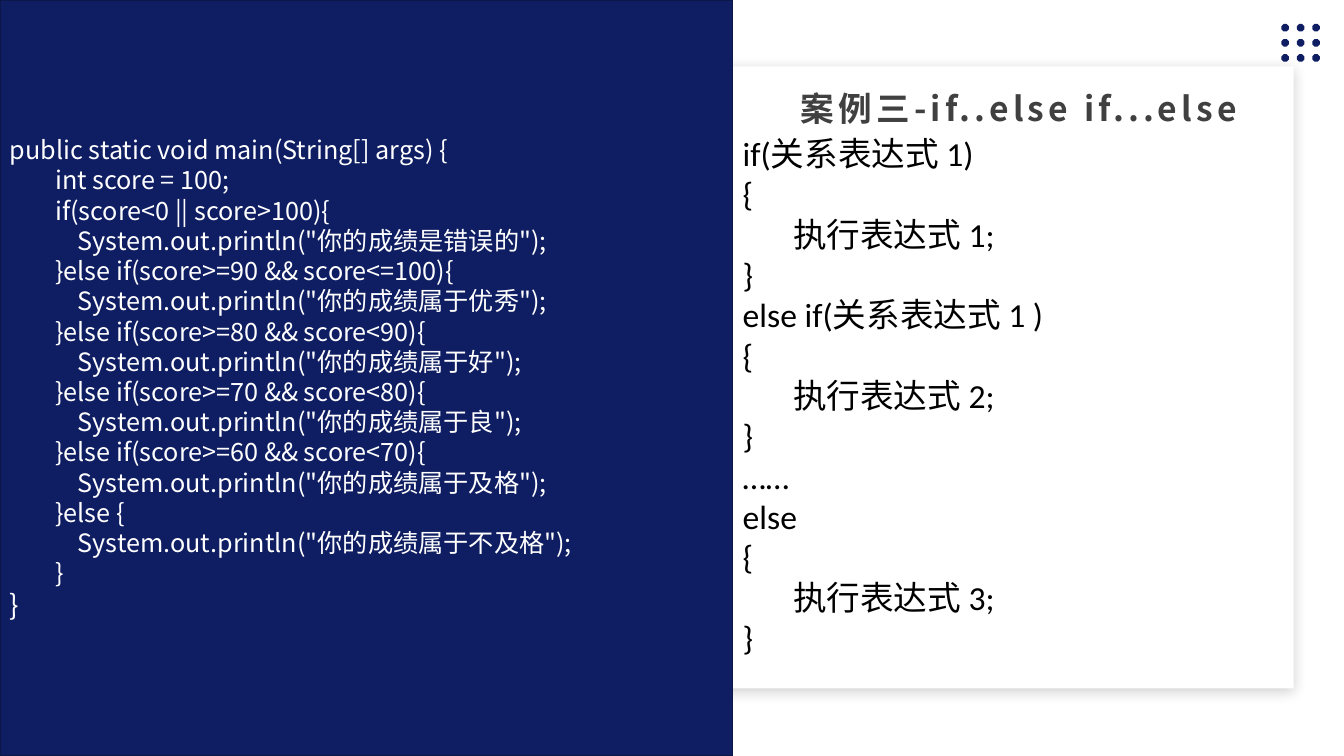
import itertools
import math

import lxml.etree
import pptx
import pptx.dml.color
import pptx.enum.shapes
import pptx.enum.text
import pptx.oxml
import pptx.oxml.ns
import pptx.util

NAVY = pptx.dml.color.RGBColor(0x0F, 0x1E, 0x62)
NAVY_EDGE = pptx.dml.color.RGBColor(0x0B, 0x16, 0x49)
SHADOW = pptx.dml.color.RGBColor(0x0D, 0x0D, 0x0D)
CHARCOAL = pptx.dml.color.RGBColor(0x40, 0x40, 0x40)
BLACK = pptx.dml.color.RGBColor(0, 0, 0)
WHITE = pptx.dml.color.RGBColor(0xFF, 0xFF, 0xFF)

CJK_FONT = "Noto Sans CJK SC"
LATIN_FONT = "Calibri"
COLUMNS, ROWS = 40, 30
LEADING = 1.2

GRADES = [
    ("if(score<0 || score>100){", "是错误的"),
    ("}else if(score>=90 && score<=100){", "属于优秀"),
    ("}else if(score>=80 && score<90){", "属于好"),
    ("}else if(score>=70 && score<80){", "属于良"),
    ("}else if(score>=60 && score<70){", "属于及格"),
    ("}else {", "属于不及格"),
]


class SlideBuilder:
    """Draws styled elements on one slide, placed by grid columns and rows."""

    def __init__(self, deck):
        self.page = deck.slides.add_slide(deck.slide_layouts[5])
        self.column = deck.slide_width / COLUMNS
        self.row = deck.slide_height / ROWS

    def place(self, left, top, width, height):
        return (round(left * self.column), round(top * self.row),
                round(width * self.column), round(height * self.row))

    def style(self, para, font, size, color, bold=False, spacing=0):
        for span in para.runs:
            span.font.name = font
            span.font.size = pptx.util.Pt(size)
            span.font.bold = bold
            span.font.color.rgb = color
            properties = span.font._element
            if spacing:
                properties.set("spc", str(spacing * 100))
            latin = properties.find(pptx.oxml.ns.qn("a:latin"))
            east_asian = lxml.etree.Element(pptx.oxml.ns.qn("a:ea"), typeface=CJK_FONT)
            latin.addnext(east_asian)

    def panel(self, area, fill, edge=None):
        shape = self.page.shapes.add_shape(
            pptx.enum.shapes.MSO_SHAPE.RECTANGLE, *self.place(*area))
        shape.shadow.inherit = False
        shape.fill.solid()
        shape.fill.fore_color.rgb = fill
        if edge is None:
            shape.line.fill.background()
        else:
            shape.line.color.rgb = edge
            shape.line.width = pptx.util.Pt(1)
        return shape

    def card(self, area):
        effects = self.panel(area, WHITE)._element.spPr.find(pptx.oxml.ns.qn("a:effectLst"))
        effects.append(pptx.oxml.parse_xml(
            f'<a:outerShdw {pptx.oxml.ns.nsdecls("a")} blurRad="{pptx.util.Pt(10)}" '
            f'dist="{pptx.util.Pt(3)}" dir="5400000" algn="t" rotWithShape="0">'
            f'<a:srgbClr val="{SHADOW}"><a:alpha val="20000"/></a:srgbClr></a:outerShdw>'))

    def dots(self, left, top, column_gap, row_gap, count):
        radius = pptx.util.Inches(0.04)
        angles = [math.radians(22.5 + 45 * corner) for corner in range(8)]
        outlines = []
        for row, column in itertools.product(range(count), repeat=2):
            x = (left + column * column_gap) * self.column
            y = (top + row * row_gap) * self.row
            outlines.append([(round(x + radius * math.cos(angle)),
                              round(y + radius * math.sin(angle))) for angle in angles])
        first, *others = outlines
        builder = self.page.shapes.build_freeform(*first[0])
        builder.add_line_segments(first[1:])
        for outline in others:
            builder.move_to(*outline[0])
            builder.add_line_segments(outline[1:])
        shape = builder.convert_to_shape()
        shape.shadow.inherit = False
        shape.fill.solid()
        shape.fill.fore_color.rgb = NAVY
        shape.line.fill.background()

    def title(self, area, text):
        box = self.page.shapes.title
        box.left, box.top, box.width, box.height = self.place(*area)
        box.element.getparent().append(box.element)
        frame = box.text_frame
        frame.text = text
        frame.word_wrap = True
        frame.auto_size = pptx.enum.text.MSO_AUTO_SIZE.NONE
        frame.vertical_anchor = pptx.enum.text.MSO_ANCHOR.MIDDLE
        frame.margin_left = frame.margin_right = pptx.util.Inches(0.08)
        frame.margin_top = pptx.util.Inches(0.04)
        frame.margin_bottom = pptx.util.Inches(0.12)
        para = frame.paragraphs[0]
        para.alignment = pptx.enum.text.PP_ALIGN.CENTER
        para.line_spacing = LEADING
        self.style(para, CJK_FONT, 24, CHARCOAL, bold=True, spacing=3)

    def lines(self, frame, lines, font, size, color, last_size=None):
        frame.word_wrap = True
        frame.text = "\n".join(lines)
        sizes = [size] * (len(lines) - 1) + [last_size or size]
        for para, points in zip(frame.paragraphs, sizes):
            para.alignment = pptx.enum.text.PP_ALIGN.LEFT
            para.line_spacing = pptx.util.Pt(points * LEADING)
            self.style(para, font, points, color)

    def code_panel(self, area, lines):
        frame = self.panel(area, NAVY, NAVY_EDGE).text_frame
        frame.vertical_anchor = pptx.enum.text.MSO_ANCHOR.MIDDLE
        self.lines(frame, lines, CJK_FONT, 18, WHITE, last_size=20)

    def syntax(self, area, lines):
        box = self.page.shapes.add_textbox(*self.place(*area))
        self.lines(box.text_frame, lines, LATIN_FONT, 24, BLACK)


def score_program():
    indent = " " * 8
    lines = ["public static void main(String[] args) {", indent + "int score = 100;"]
    for condition, verdict in GRADES:
        lines.append(indent + condition)
        lines.append(f'{indent}    System.out.println("你的成绩{verdict}");')
    return lines + [indent + "}", "}"]


def branch(head, number):
    return [head, "{", f"\t执行表达式 {number};", "}"]


def main():
    deck = pptx.Presentation()
    deck.slide_width = pptx.util.Inches(13.33)
    deck.slide_height = pptx.util.Inches(7.5)
    slide = SlideBuilder(deck)
    slide.dots(38.25, 1.1, 0.46, 0.6, 3)
    slide.card((1.5, 2.64, 37, 24.68))
    slide.title((22.71, 3.12, 15.24, 2.36), "案例三-if..else if...else")
    slide.code_panel((0, 0, 21.81, ROWS), score_program())
    slide.syntax((21.81, 5.08, 14.97, 23),
                 branch("if(关系表达式 1)", 1) + branch("else if(关系表达式 1 )", 2)
                 + ["……"] + branch("else", 3))
    deck.save("out.pptx")


if __name__ == "__main__":
    main()
